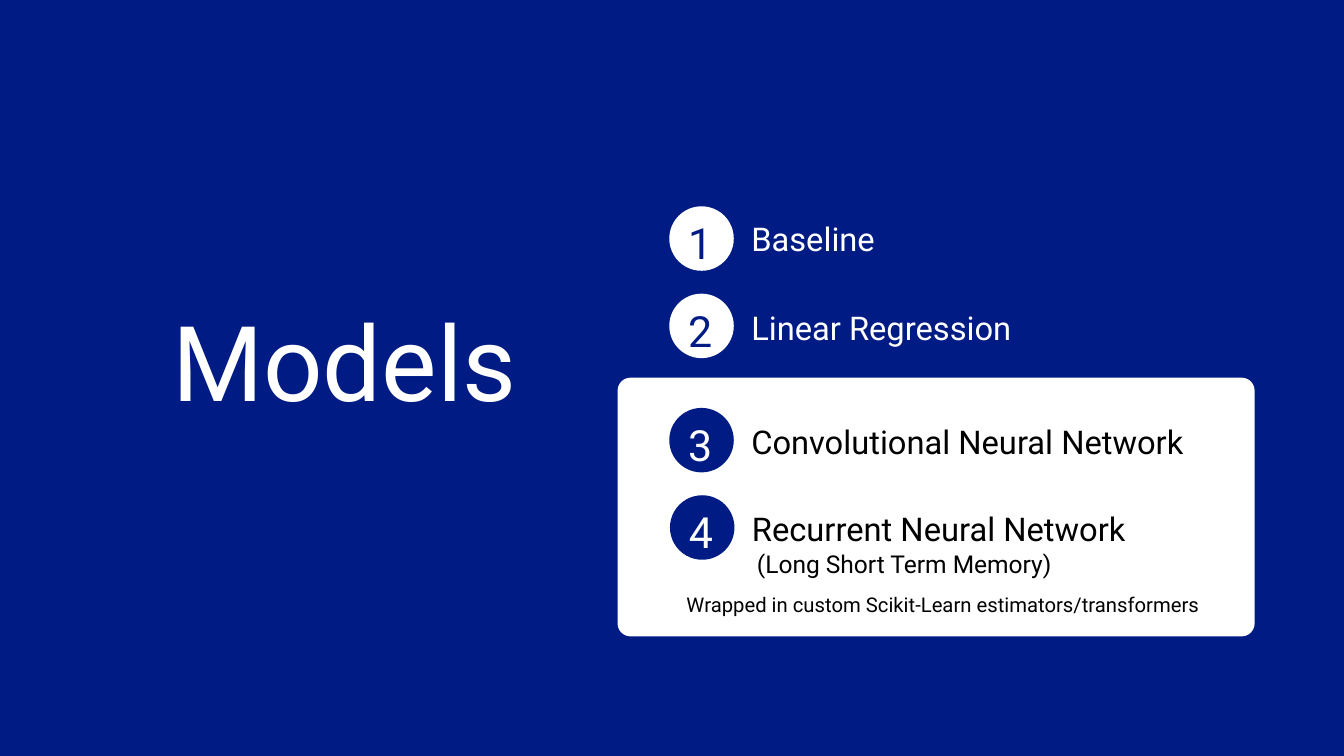
from pptx import Presentation
from pptx.dml.color import RGBColor
from pptx.enum.shapes import MSO_SHAPE as Shape
from pptx.enum.text import MSO_ANCHOR as Anchor, MSO_AUTO_SIZE as AutoSize, PP_ALIGN as Align
from pptx.util import Pt

PX = 9144  # EMU per px, 100 px to the inch
WIDTH, HEIGHT = 2000, 1125

NAVY = RGBColor(0x00, 0x1C, 0x84)
WHITE = RGBColor(0xFF, 0xFF, 0xFF)
BLACK = RGBColor(0x01, 0x01, 0x01)
FONT = "Roboto"

BADGE = 96        # diameter of a number circle
ROW_STEP = 130    # distance between the tops of two rows
LABEL_LEFT = 122  # from the circle's left edge to its label


def emu(*lengths):
    return [length * PX for length in lengths]


def format_text(shape, text, *, size, color, spacing, align=Align.LEFT):
    frame = shape.text_frame
    frame.word_wrap = True
    frame.auto_size = AutoSize.NONE
    frame.vertical_anchor = Anchor.TOP
    frame.margin_left = frame.margin_right = frame.margin_top = frame.margin_bottom = 0
    paragraph = frame.paragraphs[0]
    paragraph.alignment = align
    paragraph.line_spacing = Pt(spacing)
    run = paragraph.add_run()
    run.text = text
    run.font.name = FONT
    run.font.size = Pt(size)
    run.font.color.rgb = color


def add_text(slide, box, text, **text_format):
    format_text(slide.shapes.add_textbox(*emu(*box)), text, **text_format)


def add_filled_shape(slide, kind, box, color):
    shape = slide.shapes.add_shape(kind, *emu(*box))
    shape.shadow.inherit = False
    shape.fill.solid()
    shape.fill.fore_color.rgb = color
    shape.line.fill.background()
    return shape


def add_title(slide, box, text):
    title = slide.shapes.title
    title.left, title.top, title.width, title.height = emu(*box)
    format_text(title, text, size=112, color=WHITE, spacing=123.2)


def add_model_row(slide, box, number, name, *, badge_color, number_color, name_color, name_top):
    left, top, width, height = box
    add_filled_shape(slide, Shape.OVAL, (left, top, BADGE, BADGE), badge_color)
    add_text(slide, (left + 16, top + 3, 60, 83), str(number),
             size=46, color=number_color, spacing=64.3, align=Align.CENTER)
    add_text(slide, (left + LABEL_LEFT, top + name_top, width - LABEL_LEFT, 65), name,
             size=35, color=name_color, spacing=49)


def add_simple_models(slide, box):
    left, top, width, height = box
    # Each label sits a little lower in its row than the one before
    for index, (name, name_top) in enumerate([("Baseline", 9), ("Linear Regression", 12)]):
        add_model_row(slide, (left, top + index * ROW_STEP, width, BADGE), index + 1, name,
                      badge_color=WHITE, number_color=NAVY, name_color=WHITE,
                      name_top=name_top)


def add_network_card(slide, box):
    left, top, width, height = box
    card = add_filled_shape(slide, Shape.ROUNDED_RECTANGLE, box, WHITE)
    card.adjustments[0] = 0.05

    # Numbered networks
    for index, name in enumerate(["Convolutional Neural Network", "Recurrent Neural Network"]):
        row = (left + 77 + index, top + 45 + index * ROW_STEP, 828, BADGE)
        add_model_row(slide, row, index + 3, name, badge_color=NAVY,
                      number_color=WHITE, name_color=BLACK, name_top=11)

    # Detail and footnote
    add_text(slide, (left + 199, top + 247, 455, 48), "(Long Short Term Memory)",
             size=26.3, color=BLACK, spacing=36.8, align=Align.CENTER)
    add_text(slide, (left + 10, top + 314, width, 41),
             "Wrapped in custom Scikit-Learn estimators/transformers",
             size=21.7, color=BLACK, spacing=30.3, align=Align.CENTER)


def main():
    presentation = Presentation()
    presentation.slide_width, presentation.slide_height = emu(WIDTH, HEIGHT)
    slide = presentation.slides.add_slide(presentation.slide_layouts[5])
    slide.background.fill.solid()
    slide.background.fill.fore_color.rgb = NAVY

    add_title(slide, (256, 457, 575, 175), "Models")
    add_simple_models(slide, (996, 307, 723, 226))
    add_network_card(slide, (919, 562, 948, 385))
    presentation.save("out.pptx")


if __name__ == "__main__":
    main()
